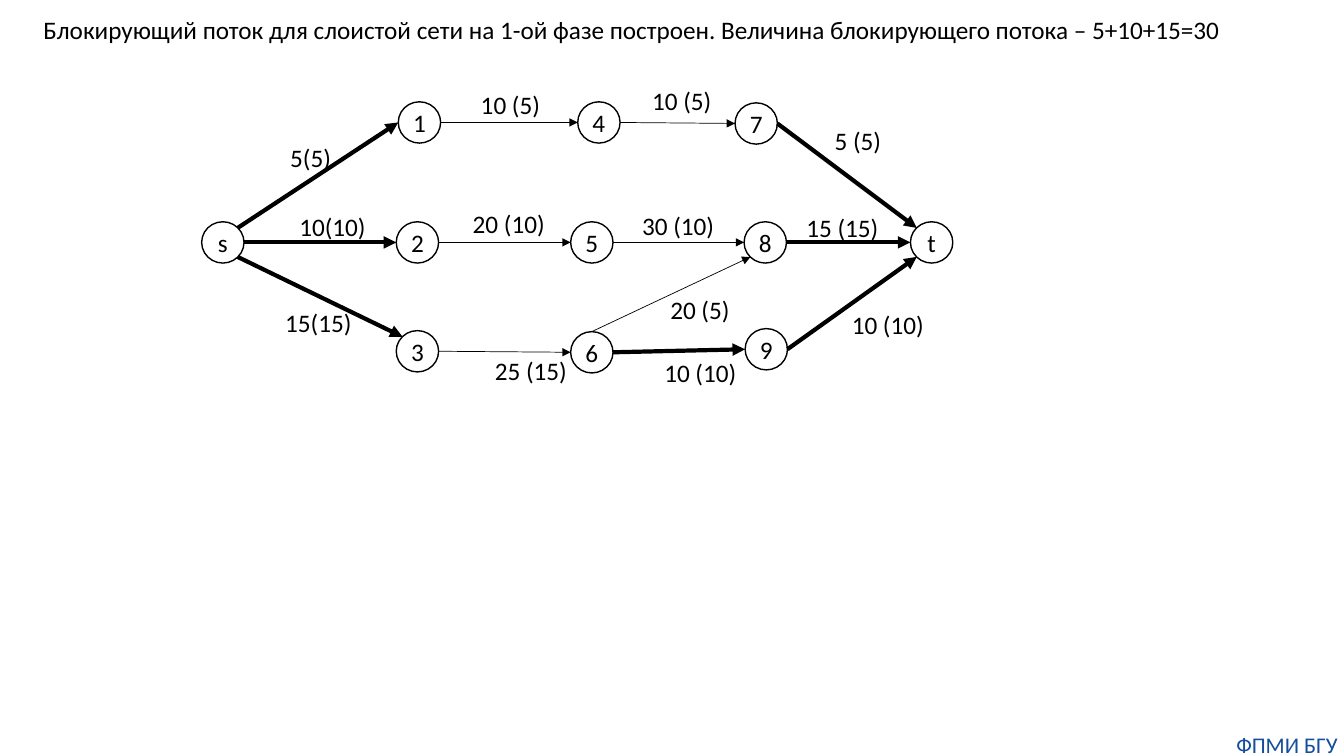
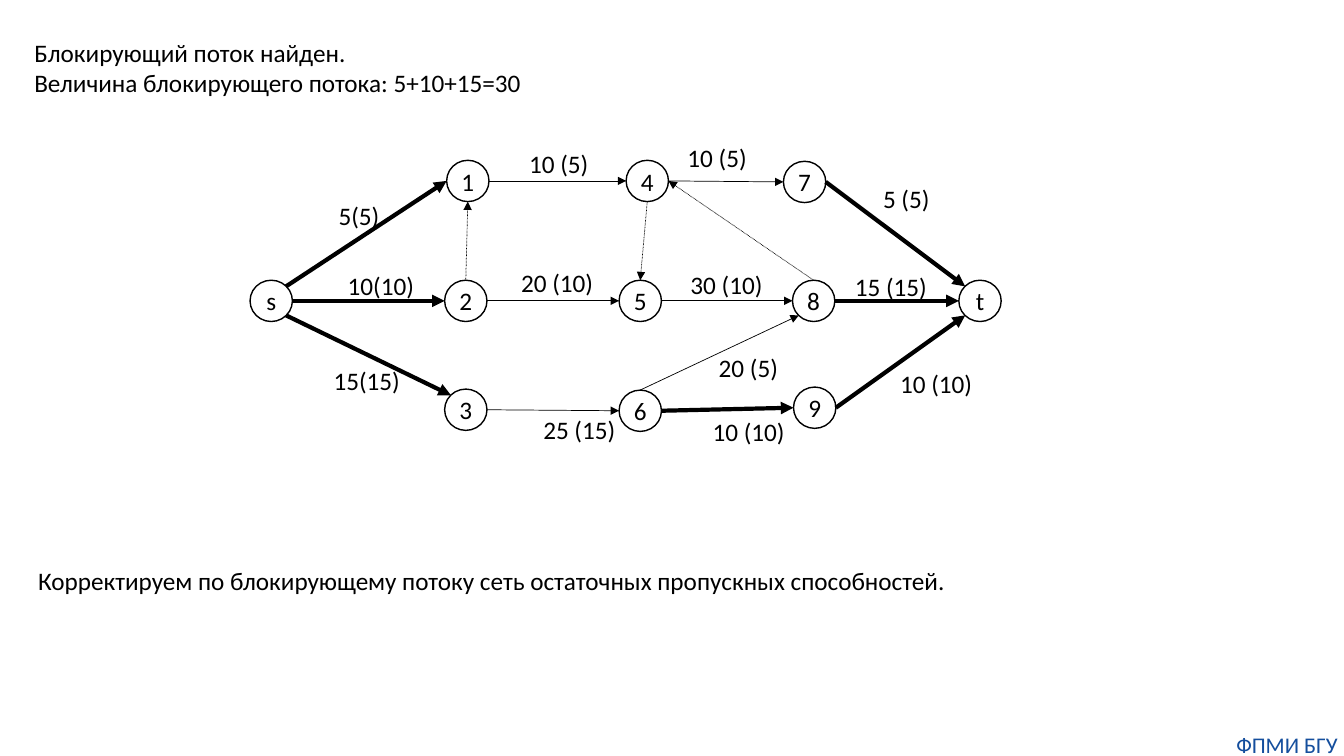
from dataclasses import dataclass

from lxml.etree import SubElement
from pptx import Presentation
from pptx.dml.color import RGBColor
from pptx.enum.dml import MSO_LINE
from pptx.enum.shapes import MSO_CONNECTOR, MSO_SHAPE
from pptx.enum.text import MSO_ANCHOR, MSO_AUTO_SIZE, PP_ALIGN
from pptx.oxml.ns import qn
from pptx.util import Inches, Pt


@dataclass(frozen=True)
class Theme:
    font: str = "Calibri"
    ink: RGBColor = RGBColor(0, 0, 0)
    footer_color: RGBColor = RGBColor(0x14, 0x4E, 0x9D)
    body_size: int = 18
    footer_size: int = 16
    outline: float = 1
    thin: float = 0.5
    thick: float = 3


theme = Theme()


def write(frame, text, size=theme.body_size, color=theme.ink, align=PP_ALIGN.LEFT,
          anchor=MSO_ANCHOR.TOP, wrap=False, inset=None, fit=MSO_AUTO_SIZE.SHAPE_TO_FIT_TEXT):
    frame.word_wrap = wrap
    frame.auto_size = fit
    frame.vertical_anchor = anchor
    if inset is not None:
        frame.margin_left = frame.margin_right = Inches(inset)
        frame.margin_top = frame.margin_bottom = Inches(inset)
    for index, line in enumerate(text.split("\n")):
        para = frame.paragraphs[0] if index == 0 else frame.add_paragraph()
        para.alignment = align
        span = para.add_run()
        span.text = line
        span.font.name = theme.font
        span.font.size = Pt(size)
        span.font.color.rgb = color


node_width, node_height = 0.42, 0.41
nodes = {
    "s": (2, 2.2),
    "1": (3.95, 1.01), "2": (3.93, 2.2), "3": (3.93, 3.28),
    "4": (5.73, 1.01), "5": (5.66, 2.2), "6": (5.66, 3.29),
    "7": (7.29, 1.02), "8": (7.38, 2.2), "9": (7.39, 3.26),
    "t": (9.03, 2.2),
}
sites = {
    "top": (0.5, 0), "bottom": (0.5, 1), "left": (0, 0.5), "right": (1, 0.5),
    "top left": (0.15, 0.15), "top right": (0.85, 0.15),
    "bottom left": (0.15, 0.85), "bottom right": (0.85, 0.85),
}
flow_edges = [
    ("s", "top right", "1", "left", theme.thick, None),
    ("1", "right", "4", "left", theme.thin, None),
    ("4", "right", "7", "left", theme.thin, None),
    ("7", "right", "t", "top left", theme.thick, None),
    ("s", "right", "2", "left", theme.thick, None),
    ("2", "right", "5", "left", theme.thin, None),
    ("5", "right", "8", "left", theme.thin, None),
    ("8", "right", "t", "left", theme.thick, None),
    ("s", "bottom right", "3", "top left", theme.thick, None),
    ("3", "right", "6", "left", theme.thin, None),
    ("6", "right", "9", "left", theme.thick, None),
    ("9", "right", "t", "bottom left", theme.thick, None),
    ("6", "top", "8", "bottom left", theme.thin, None),
]
dotted_edges = [
    ("2", "top", "1", "bottom", theme.thin, MSO_LINE.ROUND_DOT),
    ("4", "bottom", "5", "top", theme.thin, MSO_LINE.ROUND_DOT),
    ("8", "top", "4", "right", theme.thin, MSO_LINE.ROUND_DOT),
]
flow_labels = [
    ("5(5)", 2.78, 1.36), ("10 (5)", 4.67, 0.84), ("5 (5)", 8.18, 1.19),
    ("10 (10)", 8.35, 3.02), ("10 (10)", 6.49, 3.5), ("25 (15)", 4.81, 3.48),
    ("15(15)", 2.73, 3), ("10(10)", 2.87, 2.05), ("20 (10)", 4.59, 2.02),
    ("30 (10)", 6.27, 2.04), ("15 (15)", 7.9, 2.06), ("20 (5)", 6.55, 2.87),
]
steps = [
    {
        "title": "Блокирующий поток для слоистой сети на 1-ой фазе построен. "
                 "Величина блокирующего потока – 5+10+15=30",
        "title_at": (0.33, 0.09, 12.5, 0.4),
        "shift": (0, 0),
        "edges": flow_edges,
        "label_4_7": ("10 (5)", 6.37, 0.8),
        "conclusion": None,
    },
    {
        "title": "Блокирующий поток найден.\nВеличина блокирующего потока: 5+10+15=30",
        "title_at": (0.24, 0.32, 5.5, 0.71),
        "shift": (0.48, 0.58),
        "edges": flow_edges + dotted_edges,
        "label_4_7": ("10 (5)", 6.24, 0.78),
        "conclusion": "Корректируем по блокирующему потоку сеть остаточных пропускных способностей.",
    },
]

deck = Presentation()
deck.slide_width, deck.slide_height = Inches(13.33), Inches(7.5)

for step in steps:
    page = deck.slides.add_slide(deck.slide_layouts[5])
    shift_x, shift_y = step["shift"]

    title = page.shapes.title
    title.left, title.top, title.width, title.height = map(Inches, step["title_at"])
    write(title.text_frame, step["title"], wrap=True, fit=MSO_AUTO_SIZE.NONE)

    footer = page.shapes.add_textbox(Inches(12.2), Inches(7.25), Inches(1.13), Inches(0.27))
    write(footer.text_frame, "ФПМИ БГУ", size=theme.footer_size, color=theme.footer_color,
          align=PP_ALIGN.CENTER, wrap=True, inset=0)

    for name, (left, top) in nodes.items():
        node = page.shapes.add_shape(MSO_SHAPE.OVAL, Inches(left + shift_x), Inches(top + shift_y),
                                     Inches(node_width), Inches(node_height))
        node.shadow.inherit = False
        node.fill.background()
        node.line.color.rgb = theme.ink
        node.line.width = Pt(theme.outline)
        write(node.text_frame, name, align=PP_ALIGN.CENTER, anchor=MSO_ANCHOR.MIDDLE,
              inset=0, fit=MSO_AUTO_SIZE.NONE)

    for start, start_site, end, end_site, weight, dash in step["edges"]:
        ends = []
        for name, site in ((start, start_site), (end, end_site)):
            ends.append(Inches(nodes[name][0] + shift_x + sites[site][0] * node_width))
            ends.append(Inches(nodes[name][1] + shift_y + sites[site][1] * node_height))
        arrow = page.shapes.add_connector(MSO_CONNECTOR.STRAIGHT, *ends)
        arrow.line.color.rgb = theme.ink
        arrow.line.width = Pt(weight)
        if dash is not None:
            arrow.line.dash_style = dash
        properties = arrow.element.spPr
        SubElement(properties.get_or_add_ln(), qn("a:tailEnd"), type="triangle")
        SubElement(properties, qn("a:effectLst"))

    for text, left, top in flow_labels + [step["label_4_7"]]:
        digits = sum(letter.isdigit() for letter in text)
        width = 0.35 + 0.13 * digits + 0.06 * text.count(" ")
        label = page.shapes.add_textbox(Inches(left + shift_x), Inches(top + shift_y),
                                        Inches(width), Inches(0.4))
        write(label.text_frame, text)

    if step["conclusion"]:
        conclusion = page.shapes.add_textbox(Inches(0.28), Inches(5.56), Inches(9.7), Inches(0.4))
        write(conclusion.text_frame, step["conclusion"], wrap=True)

deck.save("out.pptx")
